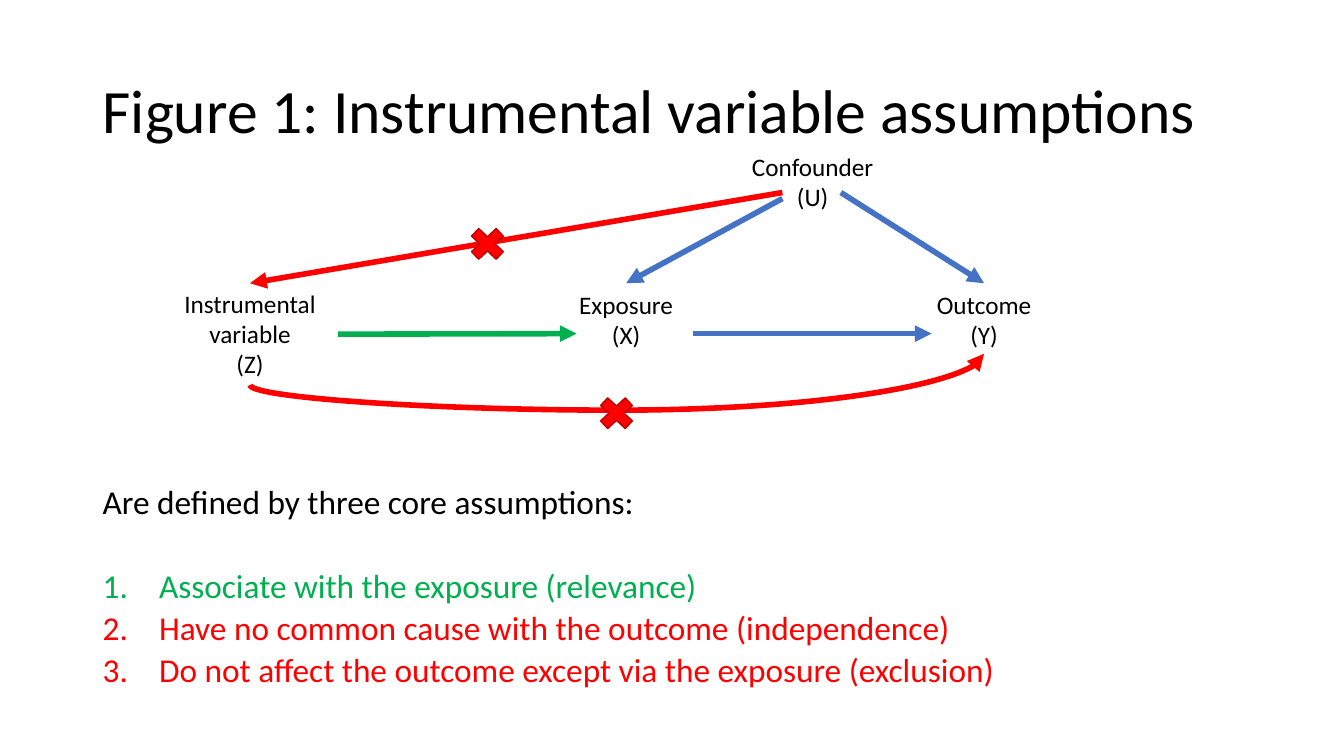
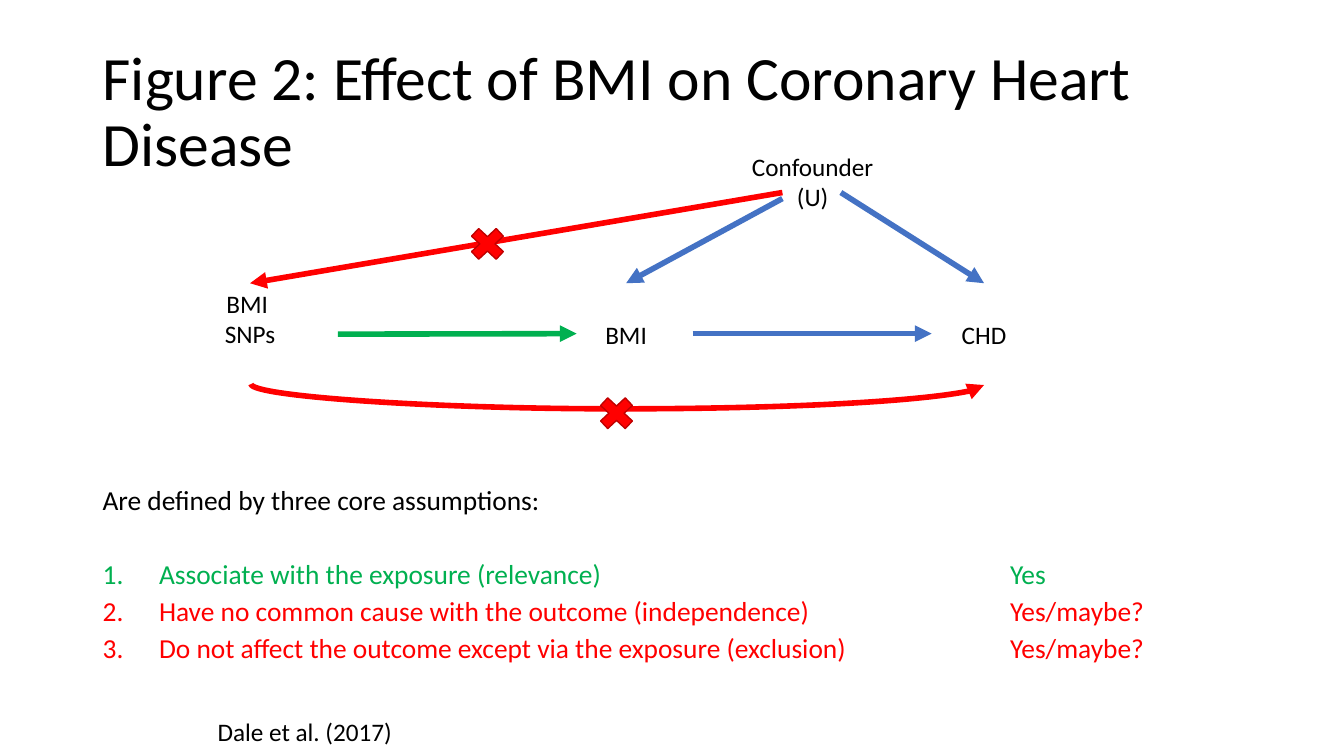
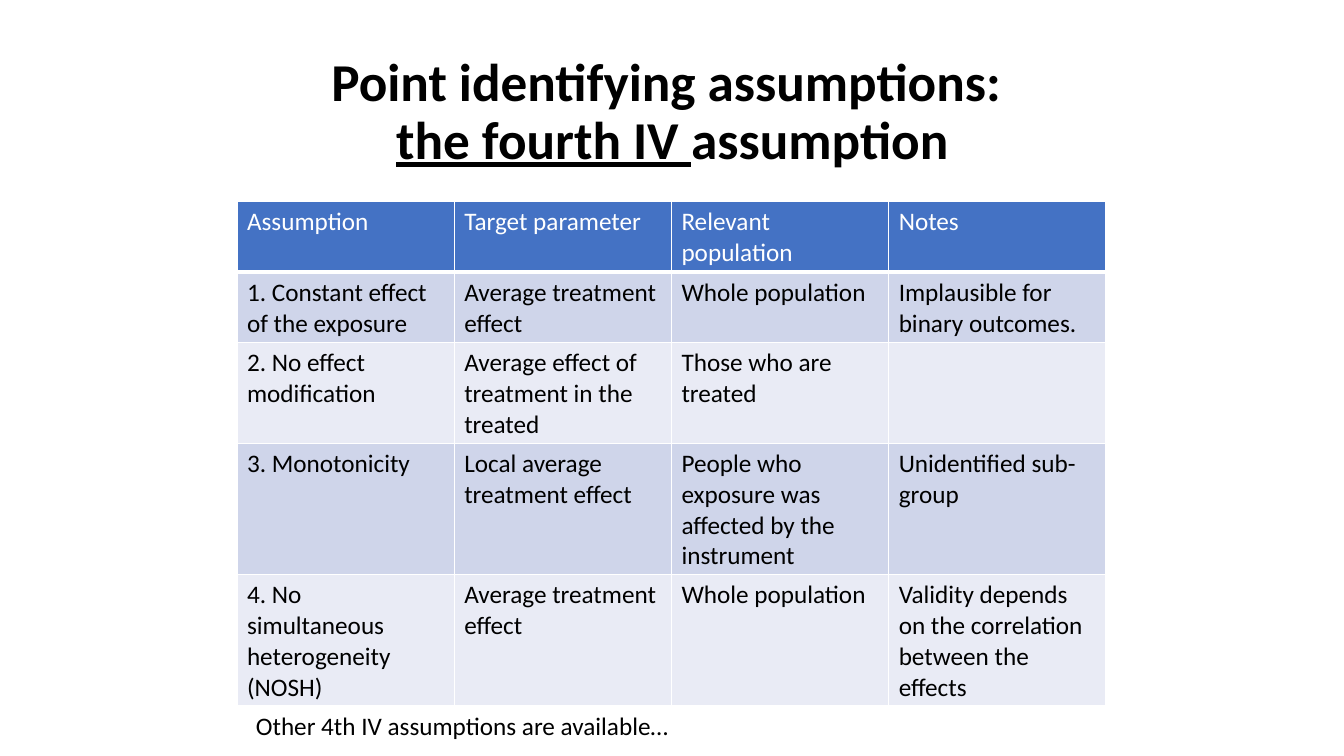
from dataclasses import dataclass
from typing import Optional

from lxml import etree
from pptx import Presentation
from pptx import util as u
from pptx.dml.color import RGBColor
from pptx.enum import shapes, text
from pptx.oxml import ns

Point = tuple[float, float]
TOP, RIGHT = 0, 3


@dataclass(frozen=True)
class Theme:
    font: str = "Calibri"
    black: str = "000000"
    white: str = "FFFFFF"
    blue: str = "4472C4"
    green: str = "00B050"
    red: str = "FF0000"
    dark_red: str = "C00000"
    bands: tuple[str, str] = ("CFD5EA", "E9EBF5")
    title_size: float = 44
    table_title_size: float = 38
    label_size: float = 18
    arrow_width: float = 4


THEME = Theme()


@dataclass(frozen=True)
class Slot:
    """Place of one node of the causal diagram."""
    left: float
    top: float
    height: float
    anchor: text.MSO_ANCHOR = text.MSO_ANCHOR.BOTTOM
    width: float = 1.74


@dataclass(frozen=True)
class Arrow:
    start: Point
    end: Point
    color: str
    start_joint: Optional[tuple[str, int]] = None
    end_joint: Optional[tuple[str, int]] = None


@dataclass(frozen=True)
class Assumption:
    wording: str
    color: str


@dataclass(frozen=True)
class Figure:
    title: str
    nodes: dict[str, list[str]]
    curve_start: Point
    curve_end: Point
    body_size: float
    answers: tuple[str, ...] = ()


SLOTS = {
    "instrument": Slot(1.61, 2.81, 1.01, text.MSO_ANCHOR.TOP),
    "exposure": Slot(5.34, 2.81, 0.71),
    "outcome": Slot(8.89, 2.81, 0.71),
    "confounder": Slot(7.19, 1.44, 0.71),
}
ARROWS = (
    Arrow((3.35, 3.31), (5.72, 3.31), THEME.green, start_joint=("instrument", RIGHT)),
    Arrow((6.87, 3.31), (9.24, 3.31), THEME.blue),
    Arrow((7.76, 1.97), (6.21, 2.81), THEME.blue, end_joint=("exposure", TOP)),
    Arrow((8.34, 1.91), (9.76, 2.81), THEME.blue, end_joint=("outcome", TOP)),
    Arrow((7.76, 1.91), (2.48, 2.81), THEME.red, end_joint=("instrument", TOP)),
)
CROSSES: tuple[Point, ...] = ((4.6, 2.2), (5.88, 3.88))
ASSUMPTIONS = (
    Assumption("Associate with the exposure (relevance)", THEME.green),
    Assumption("Have no common cause with the outcome (independence)", THEME.red),
    Assumption("Do not affect the outcome except via the exposure (exclusion)", THEME.red),
)
FIGURES = (
    Figure(
        "Figure 1: Instrumental variable assumptions",
        {
            "instrument": ["Instrumental variable", "(Z)"],
            "exposure": ["Exposure", "(X)"],
            "outcome": ["Outcome", "(Y)"],
            "confounder": ["Confounder", "(U)"],
        },
        (2.48, 3.82), (9.76, 3.51), 23.8,
    ),
    Figure(
        "Figure 2: Effect of BMI on Coronary Heart Disease",
        {
            "instrument": ["BMI ", "SNPs"],
            "exposure": ["BMI"],
            "outcome": ["CHD"],
            "confounder": ["Confounder", "(U)"],
        },
        (2.49, 3.81), (9.76, 3.82), 19.6,
        ("Yes", "Yes/maybe?", "Yes/maybe?"),
    ),
)
TABLE_ROWS = (
    ("Assumption", "Target parameter", "Relevant population", "Notes"),
    ("1. Constant effect of the exposure", "Average treatment effect",
     "Whole population", "Implausible for binary outcomes."),
    ("2. No effect modification", "Average effect of treatment in the treated",
     "Those who are treated", ""),
    ("3. Monotonicity", "Local average treatment effect",
     "People who exposure was affected by the instrument", "Unidentified sub-group"),
    ("4. No simultaneous heterogeneity (NOSH)", "Average treatment effect",
     "Whole population", "Validity depends on the correlation between the effects"),
)
LINES_PER_ROW = (2, 2, 3, 4, 4)


def add_child(parent, tag: str, **attributes: object):
    child = etree.SubElement(parent, ns.qn(tag))
    for name, value in attributes.items():
        child.set(name, str(value))
    return child


def set_font(font, size: float, color: str, bold: bool = False) -> None:
    font.name = THEME.font
    font.size = u.Pt(size)
    font.bold = bold
    font.color.rgb = RGBColor.from_string(color)


def add_box(page, left: float, top: float, width: float, height: float,
            anchor=text.MSO_ANCHOR.TOP, wrap: bool = True):
    """Add an empty text box and return its shape."""
    box = page.shapes.add_textbox(u.Inches(left), u.Inches(top), u.Inches(width), u.Inches(height))
    box.text_frame.word_wrap = wrap
    box.text_frame.vertical_anchor = anchor
    return box


def add_paragraph(frame, first: bool):
    return frame.paragraphs[0] if first else frame.add_paragraph()


def add_title(page, size: float = THEME.title_size, bold: bool = False):
    """Add the title box and return its formatted, empty paragraph."""
    box = add_box(page, 0.92, 0.4, 11.5, 1.45, text.MSO_ANCHOR.MIDDLE)
    para = box.text_frame.paragraphs[0]
    para.line_spacing = 0.9
    set_font(para.font, size, THEME.black, bold)
    return para


def add_note(page, wording: str, left: float, top: float, width: float, wrap: bool) -> None:
    para = add_box(page, left, top, width, 0.4, wrap=wrap).text_frame.paragraphs[0]
    para.text = wording
    set_font(para.font, THEME.label_size, THEME.black)


def add_node(page, slot: Slot, lines: list[str]):
    box = add_box(page, slot.left, slot.top, slot.width, slot.height, slot.anchor)
    for index, line in enumerate(lines):
        para = add_paragraph(box.text_frame, index == 0)
        para.text = line
        para.alignment = text.PP_ALIGN.CENTER
        set_font(para.font, THEME.label_size, THEME.black)
    return box


def add_line(page, kind, start: Point, end: Point, color: str):
    """Add a connector with an arrowhead at its end and no shadow."""
    line = page.shapes.add_connector(kind, *(u.Inches(value) for value in (*start, *end)))
    line.line.color.rgb = RGBColor.from_string(color)
    line.line.width = u.Pt(THEME.arrow_width)
    add_child(line.line._get_or_add_ln(), "a:tailEnd", type="triangle")
    add_child(line.element.spPr, "a:effectLst")
    return line


def add_arrow(page, arrow: Arrow, nodes: dict) -> None:
    line = add_line(page, shapes.MSO_CONNECTOR.STRAIGHT, arrow.start, arrow.end, arrow.color)
    if arrow.start_joint:
        name, side = arrow.start_joint
        line.begin_connect(nodes[name], side)
    if arrow.end_joint:
        name, side = arrow.end_joint
        line.end_connect(nodes[name], side)


def add_sagging_arrow(page, start: Point, end: Point, sag: float = 0.25) -> None:
    """Add a curve that leaves downwards and reaches its end from below."""
    span, rise = end[0] - start[0], start[1] - end[1]
    depth = abs(rise)
    left = (start[0] + end[0] - depth) / 2
    top = (start[1] + end[1] - span) / 2
    curve = add_line(page, shapes.MSO_CONNECTOR.CURVE, (left, top),
                     (left + depth, top + span), THEME.red)
    properties = curve.element.spPr
    frame = properties.find(ns.qn("a:xfrm"))
    frame.set("rot", str((90 if rise > 0 else 270) * 60000))
    frame.set("flipH", "1")
    if rise > 0:
        frame.set("flipV", "1")
    geometry = properties.find(ns.qn("a:prstGeom"))
    guides = geometry.find(ns.qn("a:avLst"))
    if guides is None:
        guides = add_child(geometry, "a:avLst")
    add_child(guides, "a:gd", name="adj1", fmla=f"val {round(-sag / rise * 100000)}")


def add_cross(page, place: Point) -> None:
    cross = page.shapes.add_shape(shapes.MSO_SHAPE.MATH_MULTIPLY, u.Inches(place[0]),
                                  u.Inches(place[1]), u.Inches(0.47), u.Inches(0.44))
    cross.shadow.inherit = False
    cross.fill.solid()
    cross.fill.fore_color.rgb = RGBColor.from_string(THEME.red)
    cross.line.color.rgb = RGBColor.from_string(THEME.dark_red)
    cross.line.width = u.Pt(1)


def number_paragraph(para, color: str, tab: Optional[float]) -> None:
    properties = para._p.get_or_add_pPr()
    indent = u.Inches(0.56)
    properties.set("marL", str(indent))
    properties.set("indent", str(-indent))
    add_child(add_child(properties, "a:buClr"), "a:srgbClr", val=color)
    add_child(properties, "a:buAutoNum", type="arabicPeriod")
    if tab is not None:
        add_child(add_child(properties, "a:tabLst"), "a:tab", pos=u.Inches(tab), algn="l")


def add_assumptions(page, size: float, answers: tuple[str, ...]) -> None:
    frame = add_box(page, 0.92, 4.83, 11.5, 2.13).text_frame
    intro = frame.paragraphs[0]
    intro.text = "Are defined by three core assumptions:"
    intro.line_spacing = 0.7
    set_font(intro.font, size, THEME.black)
    gap = 10
    line_height = 0.7 * 1.22 * size
    for index, assumption in enumerate(ASSUMPTIONS):
        para = frame.add_paragraph()
        para.text = assumption.wording + (f"\t{answers[index]}" if answers else "")
        number_paragraph(para, assumption.color, 9 if answers else None)
        para.line_spacing = 0.7
        para.space_before = u.Pt(gap if index else 2 * gap + line_height)
        set_font(para.font, size, assumption.color)


def add_figure(deck, figure: Figure):
    page = deck.slides.add_slide(deck.slide_layouts[6])
    add_title(page).text = figure.title
    add_assumptions(page, figure.body_size, figure.answers)
    nodes = {name: add_node(page, SLOTS[name], lines) for name, lines in figure.nodes.items()}
    for arrow in ARROWS:
        add_arrow(page, arrow, nodes)
    add_sagging_arrow(page, figure.curve_start, figure.curve_end)
    for place in CROSSES:
        add_cross(page, place)
    return page


def style_cell(cell, is_header: bool, fill: str) -> None:
    properties = cell._tc.get_or_add_tcPr()
    for side in "LRTB":
        width = 3 if is_header and side == "B" else 1
        edge = add_child(properties, f"a:ln{side}", w=u.Pt(width))
        add_child(add_child(edge, "a:solidFill"), "a:srgbClr", val=THEME.white)
    cell.fill.solid()
    cell.fill.fore_color.rgb = RGBColor.from_string(fill)
    set_font(cell.text_frame.paragraphs[0].font, THEME.label_size,
             THEME.white if is_header else THEME.black)


def add_table(page) -> None:
    table = page.shapes.add_table(len(TABLE_ROWS), len(TABLE_ROWS[0]), u.Inches(2.35),
                                  u.Inches(2), u.Inches(8.62), u.Inches(5)).table
    table.first_row = False
    table.horz_banding = False
    for row_index, (row, lines) in enumerate(zip(TABLE_ROWS, LINES_PER_ROW)):
        table.rows[row_index].height = u.Inches(0.1 + 0.3 * lines)
        is_header = row_index == 0
        fill = THEME.blue if is_header else THEME.bands[(row_index - 1) % 2]
        for column_index, wording in enumerate(row):
            cell = table.cell(row_index, column_index)
            cell.text = wording
            style_cell(cell, is_header, fill)


def add_table_page(deck) -> None:
    page = deck.slides.add_slide(deck.slide_layouts[6])
    title = add_title(page, THEME.table_title_size, bold=True)
    title.alignment = text.PP_ALIGN.CENTER
    title.add_run().text = "Point identifying assumptions: "
    title.add_line_break()
    span = title.add_run()
    span.text = "the fourth IV "
    span.font.underline = True
    title.add_run().text = "assumption"
    add_table(page)
    add_note(page, "Other 4th IV assumptions are available…", 2.44, 7, 7.32, wrap=True)


def main() -> None:
    deck = Presentation()
    deck.slide_width = u.Inches(13.33)
    deck.slide_height = u.Inches(7.5)
    pages = [add_figure(deck, figure) for figure in FIGURES]
    add_note(pages[1], "Dale et al. (2017)", 2.06, 7.06, 1.95, wrap=False)
    add_table_page(deck)
    deck.save("out.pptx")


if __name__ == "__main__":
    main()
